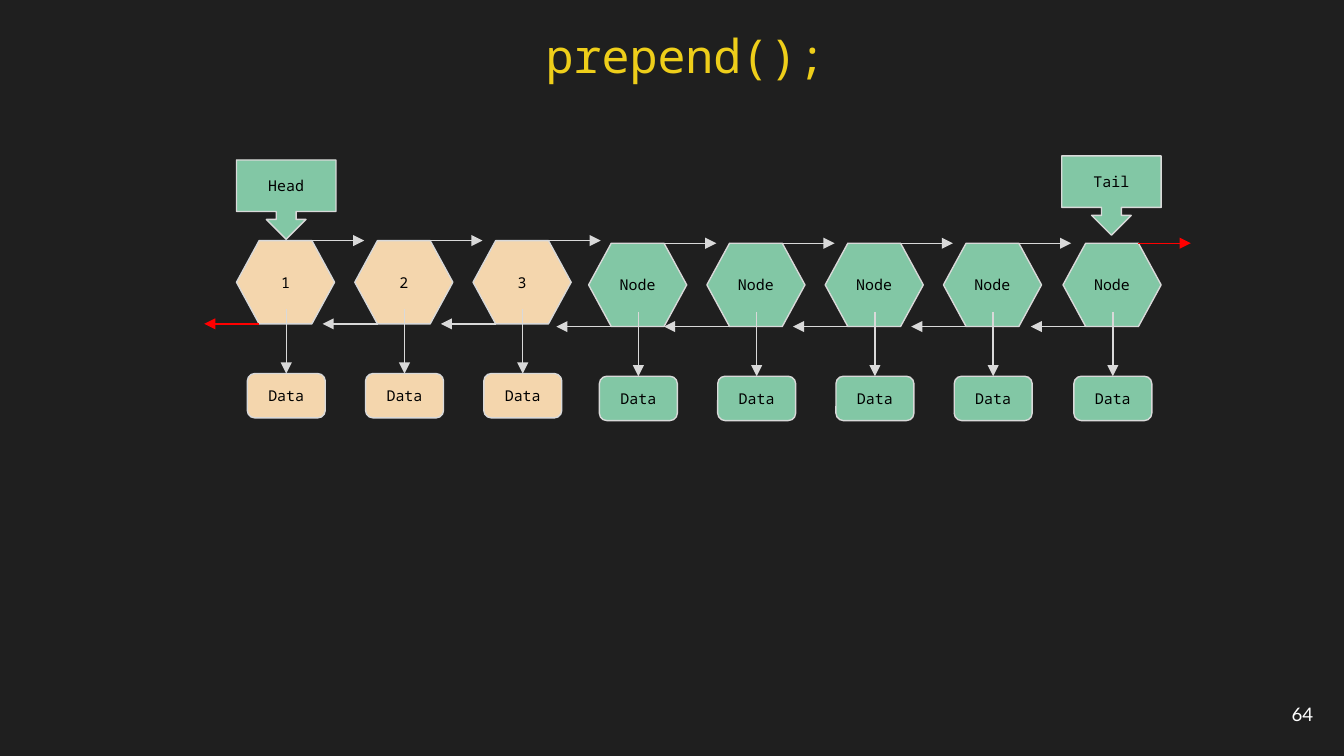
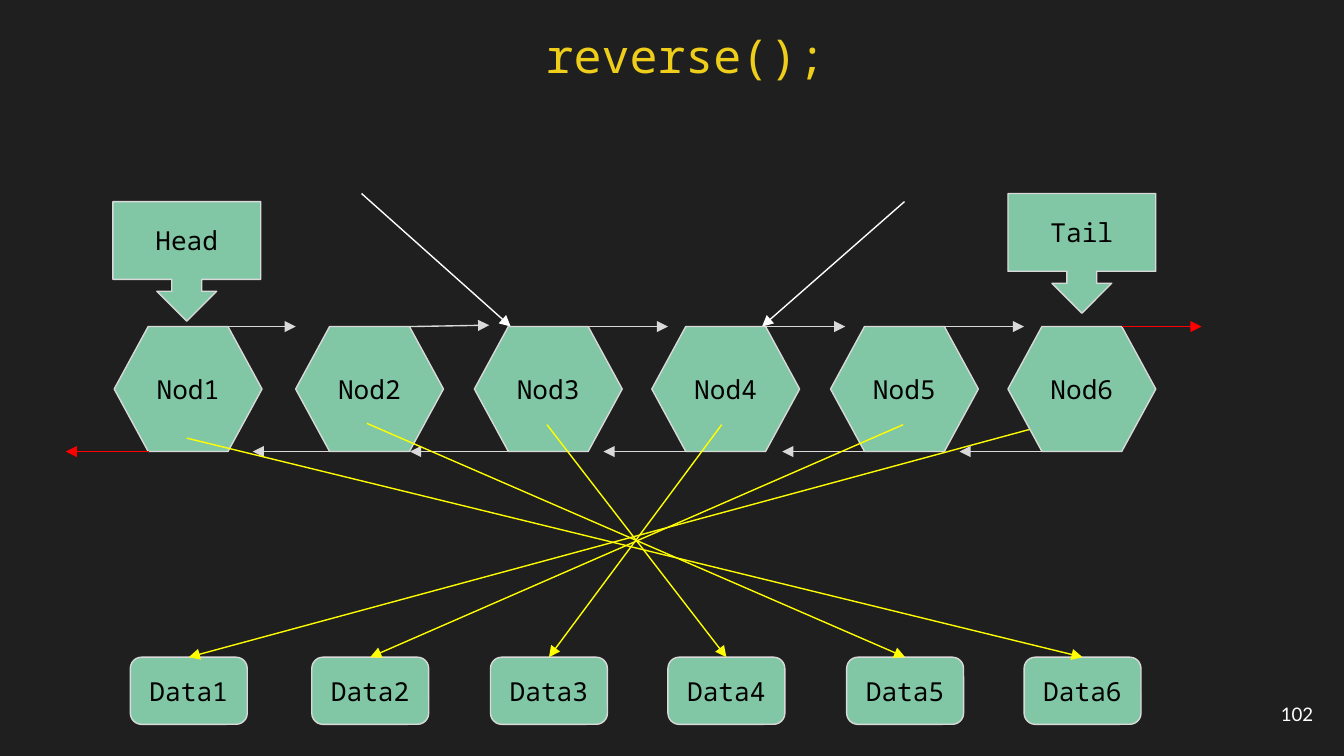
from lxml.etree import SubElement
from pptx import Presentation
from pptx.dml.color import RGBColor
from pptx.enum.shapes import MSO_CONNECTOR, MSO_SHAPE
from pptx.enum.text import MSO_ANCHOR, MSO_AUTO_SIZE, PP_ALIGN
from pptx.oxml.ns import qn
from pptx.util import Pt

EMU_PER_PX = 9144  # 100 px to the inch
MONO, SANS = "Noto Sans Mono", "Lato"
BACK, YELLOW, WHITE, BLACK = "1F1F1F", "EECE1A", "FFFFFF", "000000"
GREEN, SAND, GREY, RED, BRIGHT = "82C7A5", "F4D6AD", "D9D9D9", "FF0000", "FFFF00"

# Offsets are measured from the top left corner of a node
SMALL = dict(node=(73, 62), data=(58, 33), data_at=(8, 99), next=(56, 95),
             back=(17, -24), callout=(74, 59), pt=8)
LARGE = dict(node=(110, 93), data=(87, 50), data_at=(12, 246), next=(85, 144),
             back=(26, -36), callout=(110, 89), pt=14)


def px(n):
    return int(n * EMU_PER_PX)


def color(hex_code):
    return RGBColor.from_string(hex_code)


class Deck:
    def __init__(self):
        self.prs = Presentation()
        self.prs.slide_width, self.prs.slide_height = px(1000), px(562.5)
        fill = self.prs.slide_master.background.fill
        fill.solid()
        fill.fore_color.rgb = color(BACK)
        self.s = self.size = None

    def slide(self, title, title_width, number, size):
        self.s = self.prs.slides.add_slide(self.prs.slide_layouts[5])
        self.size = size
        sp = self.s.shapes.title
        sp.left, sp.top, sp.width, sp.height = map(px, (396, 10, title_width, 68))
        self.text(sp, title, 25, YELLOW, align=PP_ALIGN.LEFT, anchor=MSO_ANCHOR.TOP)
        sp = self.s.shapes.add_textbox(*map(px, (927, 510, 60, 43)))
        self.text(sp, number, 10, WHITE, SANS, PP_ALIGN.RIGHT)

    def text(self, sp, text, pt, rgb, font=MONO, align=PP_ALIGN.CENTER,
             anchor=MSO_ANCHOR.MIDDLE, wrap=True):
        tf = sp.text_frame
        frame = {"auto_size": MSO_AUTO_SIZE.NONE, "word_wrap": wrap, "vertical_anchor": anchor}
        frame.update({f"margin_{side}": px(10) for side in ("left", "top", "right", "bottom")})
        for name, value in frame.items():
            setattr(tf, name, value)
        p = tf.paragraphs[0]
        p.alignment = align
        r = p.add_run()
        r.text = text
        for name, value in {"name": font, "size": Pt(pt)}.items():
            setattr(r.font, name, value)
        r.font.color.rgb = color(rgb)

    def shape(self, kind, x, y, w, h, label, fill, adjust):
        sp = self.s.shapes.add_shape(kind, *map(px, (x, y, w, h)))
        for i, value in enumerate(adjust):
            sp.adjustments[i] = value
        sp.shadow.inherit = False
        sp.fill.solid()
        sp.fill.fore_color.rgb = color(fill)
        sp.line.color.rgb = color(GREY)
        sp.line.width = Pt(0.75)
        self.text(sp, label, self.size["pt"], BLACK, wrap=False)
        return sp

    def arrow(self, x1, y1, x2, y2, rgb=GREY):
        cxn = self.s.shapes.add_connector(MSO_CONNECTOR.STRAIGHT, *map(px, (x1, y1, x2, y2)))
        cxn.line.color.rgb = color(rgb)
        cxn.line.width = Pt(0.75)
        SubElement(cxn.line._get_or_add_ln(), qn("a:tailEnd"), type="triangle")
        SubElement(cxn._element.spPr, qn("a:effectLst"))
        return cxn

    def link(self, x, y, box, rgb=GREY):
        """Arrow that ends at the top of a data box."""
        self.arrow(x, y, x, y + 1, rgb).end_connect(box, 0)

    def node(self, x, y, label, fill=GREEN, next_tip=None, back_tip=None,
             next_rgb=GREY, back_rgb=GREY, next_rise=0):
        size = self.size
        w, h = size["node"]
        self.shape(MSO_SHAPE.HEXAGON, x, y, w, h, label, fill, [0.272])
        start, tip = size["next"]
        self.arrow(x + start, y, x + (next_tip or tip), y - next_rise, next_rgb)
        start, tip = size["back"]
        self.arrow(x + start, y + h, x + (back_tip or tip), y + h, back_rgb)

    def data(self, node_x, node_y, label, fill=GREEN):
        dx, dy = self.size["data_at"]
        return self.shape(MSO_SHAPE.ROUNDED_RECTANGLE, node_x + dx, node_y + dy,
                          *self.size["data"], label, fill, [0.167])

    def callout(self, x, y, label):
        self.shape(MSO_SHAPE.DOWN_ARROW_CALLOUT, x, y, *self.size["callout"],
                   label, GREEN, [0.25, 0.25, 0.25, 0.65])


def prepend_slide(deck):
    deck.slide("prepend();", 490, "64", SMALL)

    # Existing nodes, then the prepended ones
    old = [(x, 181, "Node", GREEN, {}) for x in (438, 526, 614, 702, 791)]
    old[1][-1]["back_tip"] = -32
    old[-1][-1]["next_rgb"] = RED
    new = [(176 + 88 * i, 179, str(i + 1), SAND, {}) for i in range(3)]
    new[0][-1]["back_rgb"] = RED
    for x, y, label, fill, options in old + new:
        deck.node(x, y, label, fill, **options)
        box = deck.data(x, y, "Data", fill)
        deck.link(x + SMALL["data_at"][0] + SMALL["data"][0] // 2, y + 51, box)

    deck.callout(790, 116, "Tail")
    deck.callout(176, 119, "Head")


def reverse_slide(deck):
    deck.slide("reverse();", 446, "102", LARGE)
    top = 243
    xs = (85, 220, 353, 485, 618, 750)
    options = [{"back_rgb": RED, "next_tip": 135}, {"back_tip": -32, "next_rise": 1},
               {"back_tip": -48}, {}, {}, {"next_rgb": RED}]
    starts = [(139, 326), (273, 315), (407, 316), (537, 316), (672, 316), (805, 309)]

    # Pointers to the middle pair
    deck.arrow(673, 150, 567, top, WHITE)
    deck.arrow(269, 144, 380, top, WHITE)

    # Data boxes, linked in reverse; the last node covers the start of its link
    boxes = [deck.data(x, top, f"Data{i}") for i, x in enumerate(xs, 1)]
    links = list(zip(starts, reversed(boxes)))
    deck.link(*starts[-1], boxes[0], BRIGHT)
    for i, x in enumerate(xs):
        deck.node(x, top, f"Nod{i + 1}", **options[i])
    for start, box in links[:-1]:
        deck.link(*start, box, BRIGHT)

    deck.callout(84, 150, "Head")
    deck.callout(750, 144, "Tail")


def main():
    deck = Deck()
    prepend_slide(deck)
    reverse_slide(deck)
    deck.prs.save("out.pptx")


if __name__ == "__main__":
    main()
